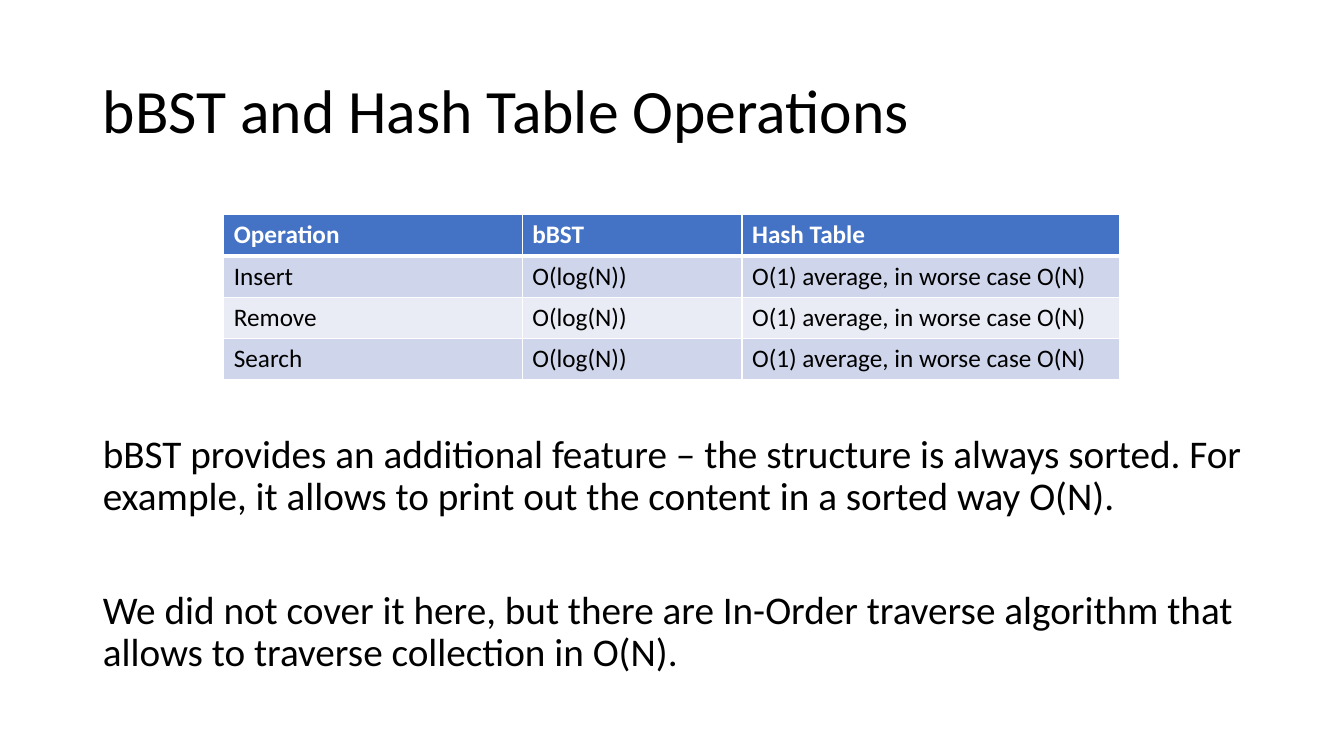
from dataclasses import dataclass

from pptx import Presentation
from pptx.dml.color import RGBColor as Rgb
from pptx.enum.text import MSO_ANCHOR as Anchor, MSO_AUTO_SIZE as AutoSize, PP_ALIGN as Align
from pptx.oxml import parse_xml
from pptx.oxml.ns import nsdecls
from pptx.util import Inches, Pt


@dataclass(frozen=True)
class Theme:
    font: str = "Calibri"
    ink: str = "000000"
    paper: str = "FFFFFF"
    header: str = "4472C4"
    bands: tuple = ("CFD5EA", "E9EBF5")
    title_size: int = 44
    body_size: int = 28
    table_size: int = 18
    grid_width: int = 1
    header_rule: int = 3


class SlideBuilder:
    def __init__(self, slide, theme):
        self.slide = slide
        self.theme = theme

    def style(self, paragraph, size, color, bold=False):
        font = paragraph.font
        font.name, font.size, font.bold = self.theme.font, Pt(size), bold
        font.color.rgb = Rgb.from_string(color)

    def place(self, placeholder, left, top, width, height, anchor):
        placeholder.left, placeholder.top = Inches(left), Inches(top)
        placeholder.width, placeholder.height = Inches(width), Inches(height)
        frame = placeholder.text_frame
        frame.word_wrap = True
        frame.auto_size = AutoSize.NONE
        frame.vertical_anchor = anchor
        return frame

    def title(self, text, *box):
        frame = self.place(self.slide.shapes.title, *box, Anchor.MIDDLE)
        frame.text = text
        heading = frame.paragraphs[0]
        heading.alignment = Align.LEFT
        heading.line_spacing = 0.9
        self.style(heading, self.theme.title_size, self.theme.ink)

    def body(self, remarks, gap, *box):
        frame = self.place(self.slide.placeholders[1], *box, Anchor.TOP)
        frame.text = "\n".join(remarks)
        for index, remark in enumerate(frame.paragraphs):
            remark.alignment = Align.LEFT
            remark.line_spacing = 0.9
            remark.space_before = Pt(gap if index else 0)
            self.style(remark, self.theme.body_size, self.theme.ink)
            properties = remark._p.get_or_add_pPr()
            properties.set("marL", "0")
            properties.set("indent", "0")
            properties.append(parse_xml(f"<a:buNone {nsdecls('a')}/>"))

    def borders(self, cell, top, bottom):
        grid = self.theme.grid_width
        for side, width in zip("LRTB", (grid, grid, top, bottom)):
            cell._tc.get_or_add_tcPr().append(parse_xml(
                f'<a:ln{side} {nsdecls("a")} w="{Pt(width)}"><a:solidFill>'
                f'<a:srgbClr val="{self.theme.paper}"/></a:solidFill></a:ln{side}>'))

    def table(self, rows, column_widths, row_height, left, top):
        theme = self.theme
        table = self.slide.shapes.add_table(
            len(rows), len(column_widths), Inches(left), Inches(top),
            Inches(sum(column_widths)), Inches(row_height * len(rows))).table
        for column, width in zip(table.columns, column_widths):
            column.width = Inches(width)
        for r, row in enumerate(rows):
            is_header = r == 0
            fill = theme.header if is_header else theme.bands[(r - 1) % 2]
            color = theme.paper if is_header else theme.ink
            for c, text in enumerate(row):
                cell = table.cell(r, c)
                cell.text = text
                self.style(cell.text_frame.paragraphs[0], theme.table_size, color, is_header)
                self.borders(cell,
                             theme.header_rule if r == 1 else theme.grid_width,
                             theme.header_rule if is_header else theme.grid_width)
                cell.fill.solid()
                cell.fill.fore_color.rgb = Rgb.from_string(fill)


def main():
    deck = Presentation()
    deck.slide_width, deck.slide_height = Inches(13.33), Inches(7.5)
    builder = SlideBuilder(deck.slides.add_slide(deck.slide_layouts[1]), Theme())

    builder.title("bBST and Hash Table Operations", 0.92, 0.4, 11.5, 1.45)
    builder.body([
        "bBST provides an additional feature – the structure is always sorted. "
        "For example, it allows to print out the content in a sorted way O(N).",
        "We did not cover it here, but there are In-Order traverse algorithm "
        "that allows to traverse collection in O(N).",
    ], 51, 0.92, 4.26, 11.5, 2.5)

    costs = ["O(log(N))", "O(1) average, in worse case O(N)"]
    operations = [[name, *costs] for name in ("Insert", "Remove", "Search")]
    builder.table([["Operation", "bBST", "Hash Table"], *operations],
                  (2.96, 2.18, 3.74), 0.41, 2.22, 2.13)

    deck.save("out.pptx")


if __name__ == "__main__":
    main()
